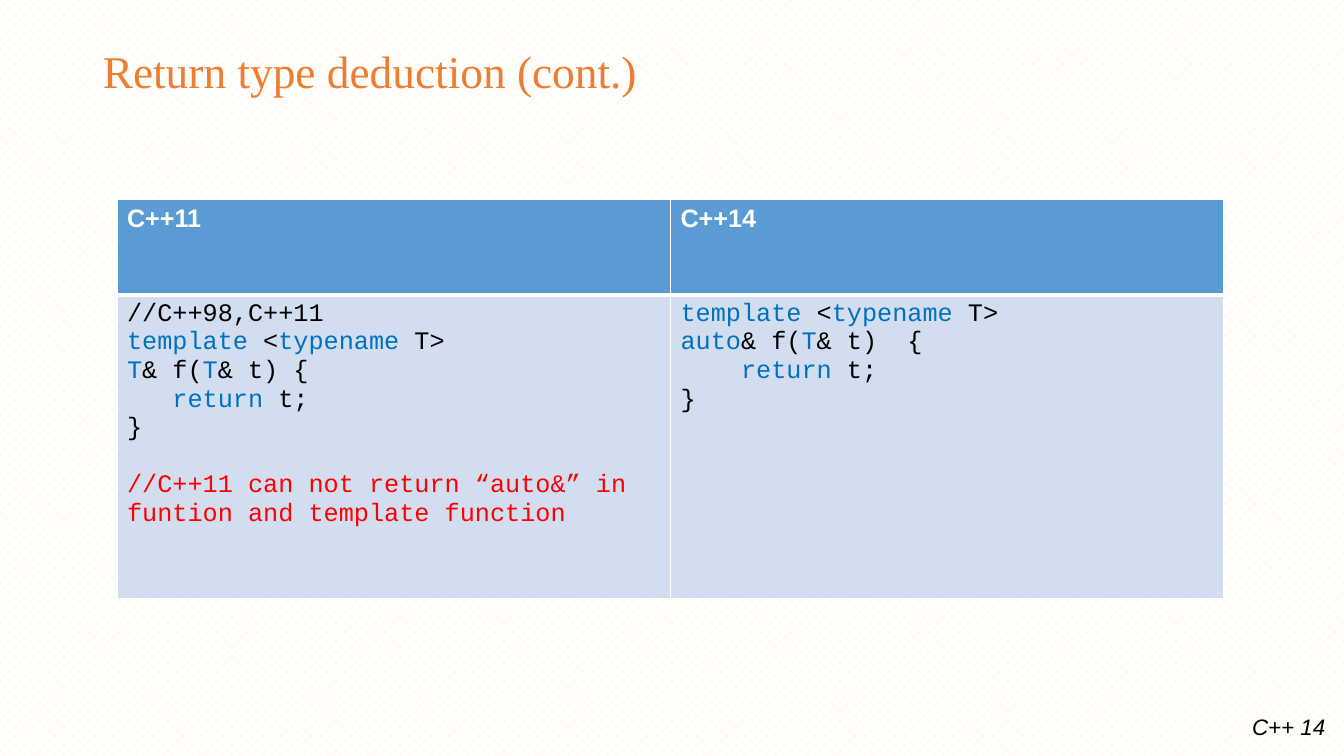
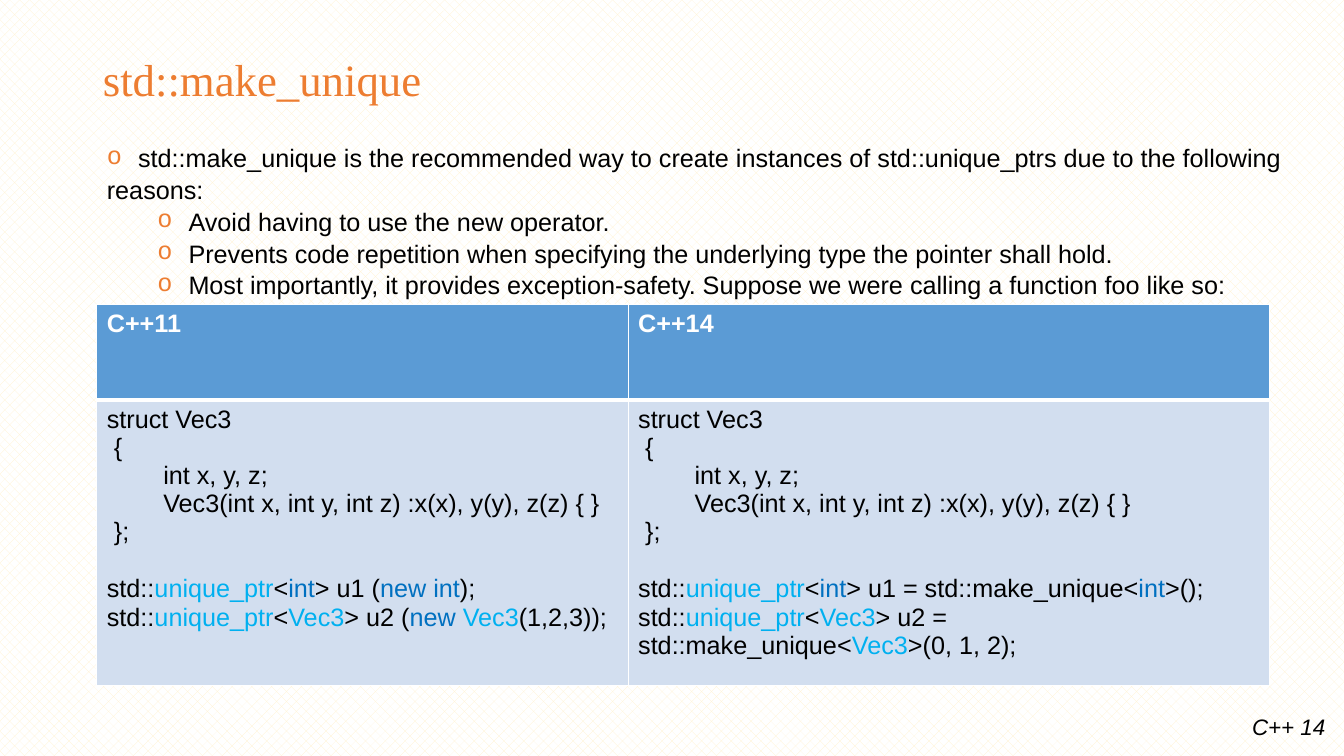
import pptx
import pptx.util
import pptx.dml.color
import pptx.enum.dml
import pptx.enum.text
import pptx.oxml.ns
import lxml.etree

Inches, Pt = pptx.util.Inches, pptx.util.Pt
RGB = pptx.dml.color.RGBColor.from_string
qn = pptx.oxml.ns.qn
SubElement = lxml.etree.SubElement
MSO_ANCHOR, PP_ALIGN = pptx.enum.text.MSO_ANCHOR, pptx.enum.text.PP_ALIGN
NO_AUTOFIT = pptx.enum.text.MSO_AUTO_SIZE.NONE

COLORS = {
    "title": "ED7D31", "text": "000000", "white": "FFFFFF", "pattern": "FFF2CC",
    "header": "5B9BD5", "body": "D2DEEF",
    "keyword": "0070C0", "type": "00B0F0", "warning": "FF0000",
}
TITLE_FONT, TEXT_FONT, CODE_FONT = "Times New Roman", "Arial", "Courier New"
BLANK_LINE = 20.5  # points


def add_runs(p, runs, font=TEXT_FONT, size=18, color="text", bold=False, italic=False):
    """Add runs to a paragraph; a run is a string or a (string, colour name) pair."""
    for run in runs:
        text, run_color = (run, color) if isinstance(run, str) else run
        r = p.add_run()
        r.text = text
        r.font.name, r.font.size = font, Pt(size)
        r.font.bold, r.font.italic = bold, italic
        r.font.color.rgb = RGB(COLORS[run_color])


def style_cell(cell, fill, top, bottom):
    """Fill a cell and draw its white borders; top and bottom are widths in points."""
    tcPr = cell._tc.get_or_add_tcPr()
    for side, width in (("L", 1), ("R", 1), ("T", top), ("B", bottom)):
        ln = SubElement(tcPr, qn(f"a:ln{side}"), w=str(Pt(width)))
        SubElement(SubElement(ln, qn("a:solidFill")), qn("a:srgbClr"), val=COLORS["white"])
    cell.fill.solid()
    cell.fill.fore_color.rgb = RGB(COLORS[fill])


# A code line is (indent in inches, space before in points, runs).
T = ("T", "keyword")
RETURN = [("return", "keyword"), " t;"]
INT, VEC3 = ("int", "keyword"), ("Vec3", "type")
POINTER = ["std::", ("unique_ptr", "type"), "<"]
TEMPLATE = (0, 0, [("template", "keyword"), " <", ("typename", "keyword"), " T>"])
STRUCT = [
    (0, 0, ["struct Vec3"]),
    (0.07, 0, ["{"]),
    (0.56, 0, ["int x, y, z;"]),
    (0.56, 0, ["Vec3(int x, int y, int z) :x(x), y(y), z(z) { }"]),
    (0.07, 0, ["};"]),
]

SLIDES = [
    {
        "title": "Return type deduction (cont.)", "title_size": 32.4,
        "title_box": (0.92, 0.4, 5.5, 0.66),
        "bullets": [],
        "table_at": (1.16, 1.98), "cols": (5.49, 5.49), "rows": (0.95, 3.01),
        "font": CODE_FONT,
        "code": [
            [
                (0, 0, ["//C++98,C++11"]),
                TEMPLATE,
                (0, 0, [T, "& f(", T, "& t) {"]),
                (0.45, 0, RETURN),
                (0, 0, ["}"]),
                (0, BLANK_LINE, [("//C++11 can not return “auto&” in", "warning")]),
                (0, 0, [("funtion and template function", "warning")]),
            ],
            [
                TEMPLATE,
                (0, 0, [("auto", "keyword"), "& f(", T, "& t)  {"]),
                (0.6, 0, RETURN),
                (0, 0, ["}"]),
            ],
        ],
    },
    {
        "title": "std::make_unique", "title_size": 32,
        "title_box": (0.92, 0.4, 3.41, 0.83),
        # Each entry is (left margin or None for no bullet, text).
        "bullets": [
            (0.31, "std::make_unique is the recommended way to create instances of "
                   "std::unique_ptrs due to the following"),
            (None, "reasons:"),
            (0.81, "Avoid having to use the new operator."),
            (0.81, "Prevents code repetition when specifying the underlying type "
                   "the pointer shall hold."),
            (0.81, "Most importantly, it provides exception-safety. Suppose we were "
                   "calling a function foo like so:"),
        ],
        "table_at": (0.96, 3.02), "cols": (5.27, 6.36), "rows": (0.95, 2.83),
        "font": TEXT_FONT,
        "code": [
            STRUCT + [
                (0, BLANK_LINE, POINTER + [INT, "> u1 (", ("new int", "keyword"), ");"]),
                (0, 0, POINTER + [VEC3, "> u2 (", ("new ", "keyword"), VEC3, "(1,2,3));"]),
            ],
            STRUCT + [
                (0, BLANK_LINE, POINTER + [INT, "> u1 = std::make_unique<", INT, ">();"]),
                (0, 0, POINTER + [VEC3, "> u2 = std::make_unique<", VEC3, ">(0, 1, 2);"]),
            ],
        ],
    },
]

prs = pptx.Presentation()
prs.slide_width, prs.slide_height = Inches(13.33), Inches(7.5)
master = prs.slide_master
background = master.background.fill
background.patterned()
background.pattern = pptx.enum.dml.MSO_PATTERN.PERCENT_30
background.fore_color.rgb = RGB(COLORS["pattern"])
background.back_color.rgb = RGB(COLORS["white"])

for slide in SLIDES:
    layout = prs.slide_layouts.get_by_name("Title and Content" if slide["bullets"] else "Title Only")
    s = prs.slides.add_slide(layout)

    title = s.shapes.title
    title.left, title.top, title.width, title.height = map(Inches, slide["title_box"])
    tf = title.text_frame
    tf.auto_size = NO_AUTOFIT
    tf.vertical_anchor = MSO_ANCHOR.MIDDLE
    p = tf.paragraphs[0]
    p.alignment, p.line_spacing = PP_ALIGN.LEFT, 0.9
    add_runs(p, [slide["title"]], TITLE_FONT, slide["title_size"], "title")

    if slide["bullets"]:
        body = s.placeholders[1]
        body.left, body.top, body.width, body.height = map(Inches, (0.96, 1.35, 12.03, 1.62))
        tf = body.text_frame
        tf.auto_size = NO_AUTOFIT
        for i, (margin, text) in enumerate(slide["bullets"]):
            p = tf.add_paragraph() if i else tf.paragraphs[0]
            p.space_before, p.line_spacing = Pt(0), 1.05
            pPr = p._p.get_or_add_pPr()
            pPr.set("marL", str(Inches(margin or 0)))
            pPr.set("indent", str(Inches(-0.31 if margin else 0)))
            if margin:
                p.level = int(margin > 0.5)
                SubElement(SubElement(pPr, qn("a:buClr")), qn("a:srgbClr"), val=COLORS["title"])
                SubElement(pPr, qn("a:buFont"), typeface=CODE_FONT)
                SubElement(pPr, qn("a:buChar"), char="o")
            else:
                SubElement(pPr, qn("a:buNone"))
            add_runs(p, [text])

    left, top = slide["table_at"]
    cols, rows = slide["cols"], slide["rows"]
    table = s.shapes.add_table(2, 2, Inches(left), Inches(top),
                               Inches(sum(cols)), Inches(sum(rows))).table
    table.horz_banding = False
    for row, height in zip(table.rows, rows):
        row.height = Inches(height)
    for c, (name, width, code) in enumerate(zip(("C++11", "C++14"), cols, slide["code"])):
        table.columns[c].width = Inches(width)
        header, listing = table.cell(0, c), table.cell(1, c)
        style_cell(header, "header", 1, 3)
        style_cell(listing, "body", 3, 1)
        add_runs(header.text_frame.paragraphs[0], [name], color="white", bold=True)
        tf = listing.text_frame
        for i, (indent, gap, runs) in enumerate(code):
            p = tf.add_paragraph() if i else tf.paragraphs[0]
            p.space_before = Pt(gap)
            p._p.get_or_add_pPr().set("marL", str(Inches(indent)))
            add_runs(p, runs, slide["font"])

# The footer is made on a slide, then moved to the master that all slides share.
footer = s.shapes.add_textbox(Inches(12.32), Inches(7.03), Inches(0.94), Inches(0.37))
footer.text_frame.word_wrap = False
add_runs(footer.text_frame.paragraphs[0], ["C++ 14"], size=16, italic=True)
master.shapes._spTree.append(footer._element)

prs.save("out.pptx")
